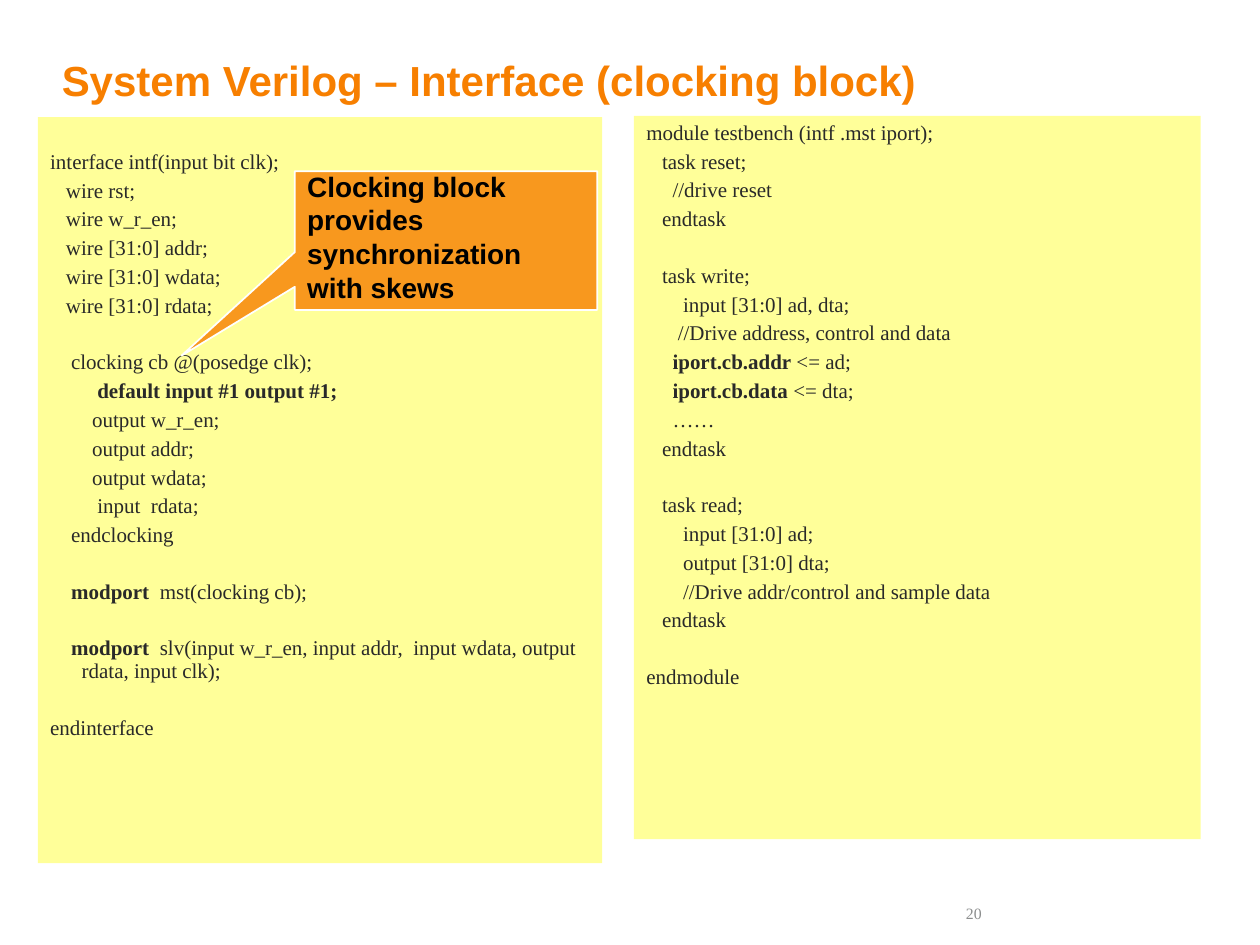
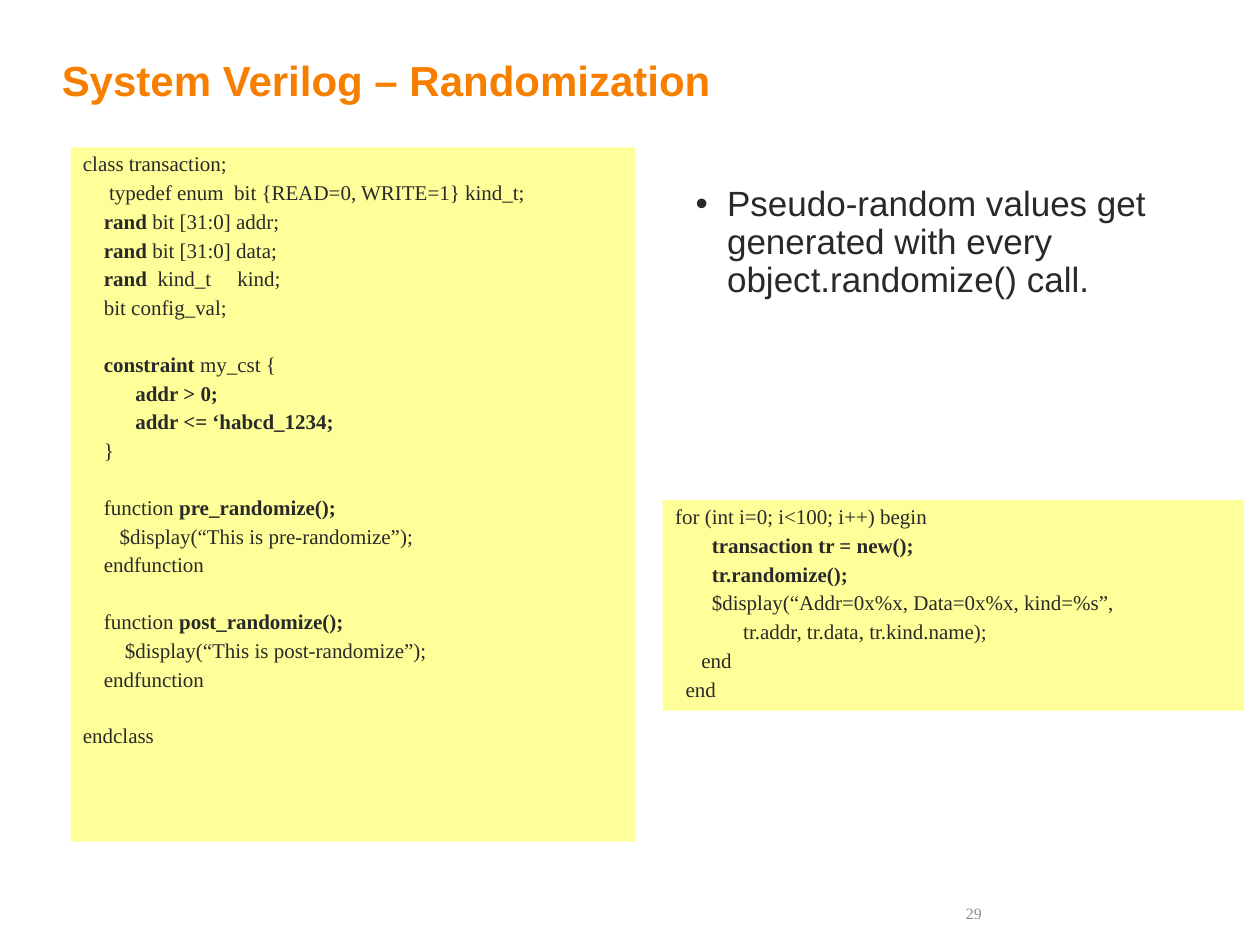
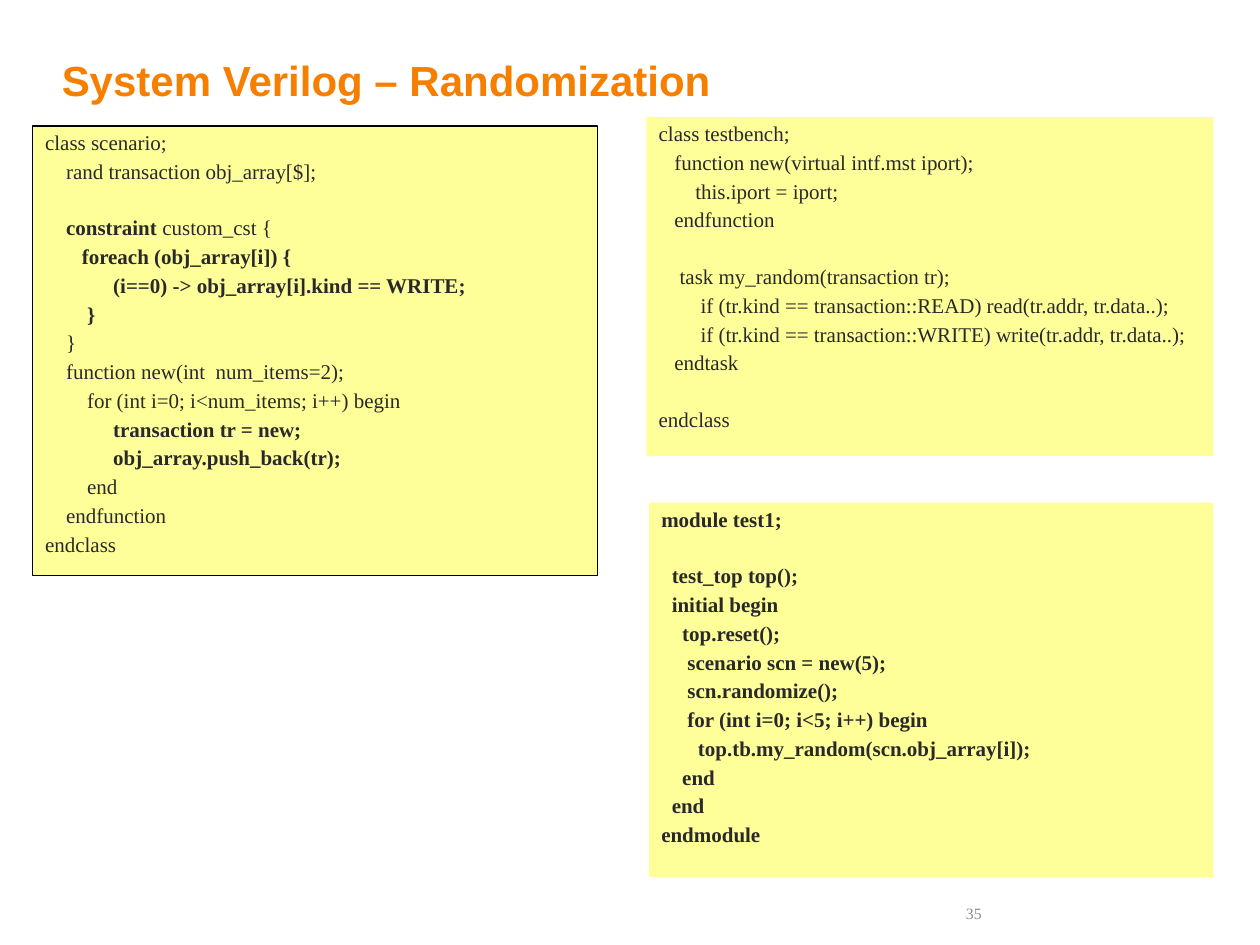
from lxml.etree import SubElement
from pptx import Presentation
from pptx.dml.color import RGBColor
from pptx.enum.shapes import MSO_SHAPE
from pptx.enum.text import MSO_ANCHOR, MSO_AUTO_SIZE, PP_ALIGN
from pptx.oxml.ns import qn
from pptx.util import Inches, Pt

COLORS = {
    "orange": "F77F00",
    "code_fill": "FFFF99",
    "body": "292929",
    "number": "8C8E8E",
    "black": "000000",
    "white": "FFFFFF",
}
CODE_SIZE = 12
CODE_GAP = 3.5
CODE_PITCH = 15.95
HANGING = Inches(0.25)

INTERFACE_CODE = """interface intf(input bit clk);
   wire rst;
   wire w_r_en;
   wire [31:0] addr;
   wire [31:0] wdata;
   wire [31:0] rdata;

    clocking cb @(posedge clk);
**         default input #1 output #1;**
        output w_r_en;
        output addr;
        output wdata;
         input  rdata;
    endclocking

    **modport ** mst(clocking cb);

    **modport ** slv(input w_r_en, input addr,  input wdata, output rdata, input clk);

endinterface"""

TESTBENCH_MODULE_CODE = """module testbench (intf .mst iport);
   task reset;
     //drive reset
   endtask

   task write;
       input [31:0] ad, dta;
      //Drive address, control and data
**     iport.cb.addr **<= ad;
**     iport.cb.data **<= dta;
     ……
   endtask

   task read;
       input [31:0] ad;
       output [31:0] dta;
       //Drive addr/control and sample data
   endtask

endmodule"""

TRANSACTION_CODE = """class transaction;
     typedef enum  bit {READ=0, WRITE=1} kind_t;
    **rand** bit [31:0] addr;
**    rand **bit [31:0] data;
**    rand  **kind_t     kind;
    bit config_val;

    **constraint **my_cst {
**          addr > 0;
          addr <= ‘habcd_1234;**
    }

    function **pre_randomize();**
       $display(“This is pre-randomize”);
    endfunction

    function **post_randomize();**
        $display(“This is post-randomize”);
    endfunction

endclass"""

RANDOMIZE_LOOP_CODE = """for (int i=0; i<100; i++) begin
**       transaction tr = new();
       tr.randomize();**
       $display(“Addr=0x%x, Data=0x%x, kind=%s”,
             tr.addr, tr.data, tr.kind.name);
     end
  end"""

SCENARIO_CODE = """class scenario;
    rand transaction obj_array[$];

    **constraint **custom_cst {
**       foreach (obj_array[i]) {
             (i==0) -> obj_array[i].kind == WRITE;
        }**
    }
    function new(int  num_items=2);
        for (int i=0; i<num_items; i++) begin
**             transaction tr = new;
             obj_array.push_back(tr);**
        end
    endfunction
endclass"""

TESTBENCH_CLASS_CODE = """class testbench;
   function new(virtual intf.mst iport);
       this.iport = iport;
   endfunction

    task my_random(transaction tr);
        if (tr.kind == transaction::READ) read(tr.addr, tr.data..);
        if (tr.kind == transaction::WRITE) write(tr.addr, tr.data..);
   endtask

endclass"""

TEST_CODE = """**module test1;

  test_top top();
  initial begin
    top.reset();
     scenario scn = new(5);
     scn.randomize();
     for (int i=0; i<5; i++) begin
       top.tb.my_random(scn.obj_array[i]);
    end
  end
endmodule**"""

SLIDES = [
    (20, "System Verilog – Interface (clocking block)", [
        ((5.03, 0.92, 4.5, 5.74), TESTBENCH_MODULE_CODE),
        ((0.3, 0.93, 4.48, 5.92), INTERFACE_CODE),
    ]),
    (29, "System Verilog – Randomization", [
        ((0.56, 1.17, 4.48, 5.51), TRANSACTION_CODE),
        ((5.26, 3.97, 4.61, 1.67), RANDOMIZE_LOOP_CODE),
    ]),
    (35, "System Verilog – Randomization", [
        ((5.13, 0.93, 4.5, 2.69), TESTBENCH_CLASS_CODE),
        ((5.15, 3.99, 4.48, 2.97), TEST_CODE),
        ((0.26, 1, 4.48, 3.57), SCENARIO_CODE),
    ]),
]


def prepare(shape, box, anchor=MSO_ANCHOR.TOP):
    shape.left, shape.top, shape.width, shape.height = [Inches(length) for length in box]
    frame = shape.text_frame
    frame.word_wrap = True
    frame.auto_size = MSO_AUTO_SIZE.NONE
    frame.vertical_anchor = anchor
    frame.paragraphs[0].alignment = PP_ALIGN.LEFT
    return frame


def add_run(paragraph, text, size, color, bold=False, font_name="Arial"):
    run = paragraph.add_run()
    run.text = text
    run.font.name = font_name
    run.font.size = Pt(size)
    run.font.bold = bold
    run.font.color.rgb = RGBColor.from_string(COLORS[color])


presentation = Presentation()
presentation.slide_width = Inches(10)
presentation.slide_height = Inches(7.5)
content_layout = presentation.slide_layouts[1]
title_layout = presentation.slide_layouts[5]

for number, title, listings in SLIDES:
    slide = presentation.slides.add_slide(title_layout if number == 35 else content_layout)
    title_frame = prepare(slide.shapes.title, (0.39, 0.35, 9.12, 0.87))
    title_frame.margin_top = Inches(0.08)
    add_run(title_frame.paragraphs[0], title, 24, "orange", bold=True)

    number_box = slide.shapes.add_textbox(0, 0, 0, 0)
    number_frame = prepare(number_box, (7.02, 7.12, 0.87, 0.25))
    number_frame.paragraphs[0].alignment = PP_ALIGN.RIGHT
    add_run(number_frame.paragraphs[0], str(number), 9, "number", font_name="Times New Roman")

    for box, code in listings:
        if code == TESTBENCH_MODULE_CODE:
            shape = slide.placeholders[1]
        else:
            shape = slide.shapes.add_shape(MSO_SHAPE.RECTANGLE, 0, 0, 0, 0)
            shape.shadow.inherit = False
        shape.fill.solid()
        shape.fill.fore_color.rgb = RGBColor.from_string(COLORS["code_fill"])
        if code == SCENARIO_CODE:
            shape.line.color.rgb = RGBColor.from_string(COLORS["black"])
            shape.line.width = Pt(0.75)
        else:
            shape.line.fill.background()

        frame = prepare(shape, box)
        if code == INTERFACE_CODE:
            frame.margin_top = Inches(0.27)
        paragraph = frame.paragraphs[0]
        space_before = 0
        bold = False
        for line_index, line in enumerate(code.split("\n")):
            if not line:
                space_before += CODE_PITCH
                continue
            if line_index:
                paragraph = frame.add_paragraph()
            properties = paragraph._p.get_or_add_pPr()
            properties.set("marL", str(HANGING))
            properties.set("indent", str(-HANGING))
            SubElement(properties, qn("a:buNone"))
            paragraph.alignment = PP_ALIGN.LEFT
            paragraph.line_spacing = 0.9
            paragraph.space_before = Pt(space_before)
            space_before = CODE_GAP
            for part_index, part in enumerate(line.split("**")):
                if part_index:
                    bold = not bold
                if part:
                    add_run(paragraph, part, CODE_SIZE, "body", bold, "Times New Roman")

    if number == 20:
        callout = slide.shapes.add_shape(
            MSO_SHAPE.RECTANGULAR_CALLOUT, 0, 0, 0, 0)
        callout.shadow.inherit = False
        callout.adjustments[0] = -0.875
        callout.adjustments[1] = 0.831
        callout.fill.solid()
        callout.fill.fore_color.rgb = RGBColor.from_string(COLORS["orange"])
        fill_color = callout._element.spPr.find(qn("a:solidFill")).find(qn("a:srgbClr"))
        SubElement(fill_color, qn("a:alpha"), val="80000")
        callout.line.color.rgb = RGBColor.from_string(COLORS["white"])
        callout.line.width = Pt(1)
        callout_frame = prepare(callout, (2.34, 1.36, 2.4, 1.1), MSO_ANCHOR.BOTTOM)
        add_run(callout_frame.paragraphs[0],
                "Clocking block provides synchronization with skews", 16, "black", bold=True)

    if number == 29:
        body_frame = prepare(slide.placeholders[1], (5.42, 1.06, 4.08, 3.24))
        body_frame.margin_top = Inches(0.42)
        paragraph = body_frame.paragraphs[0]
        properties = paragraph._p.get_or_add_pPr()
        properties.set("marL", str(HANGING))
        properties.set("indent", str(-HANGING))
        bullet_color = SubElement(properties, qn("a:buClr"))
        SubElement(bullet_color, qn("a:srgbClr"), val=COLORS["body"])
        SubElement(properties, qn("a:buFont"), typeface="Arial")
        SubElement(properties, qn("a:buChar"), char="•")
        paragraph.line_spacing = 0.9
        paragraph.space_before = Pt(0)
        add_run(paragraph, "Pseudo-random values get generated with every object.randomize() call.",
                20, "body")

presentation.save("out.pptx")
